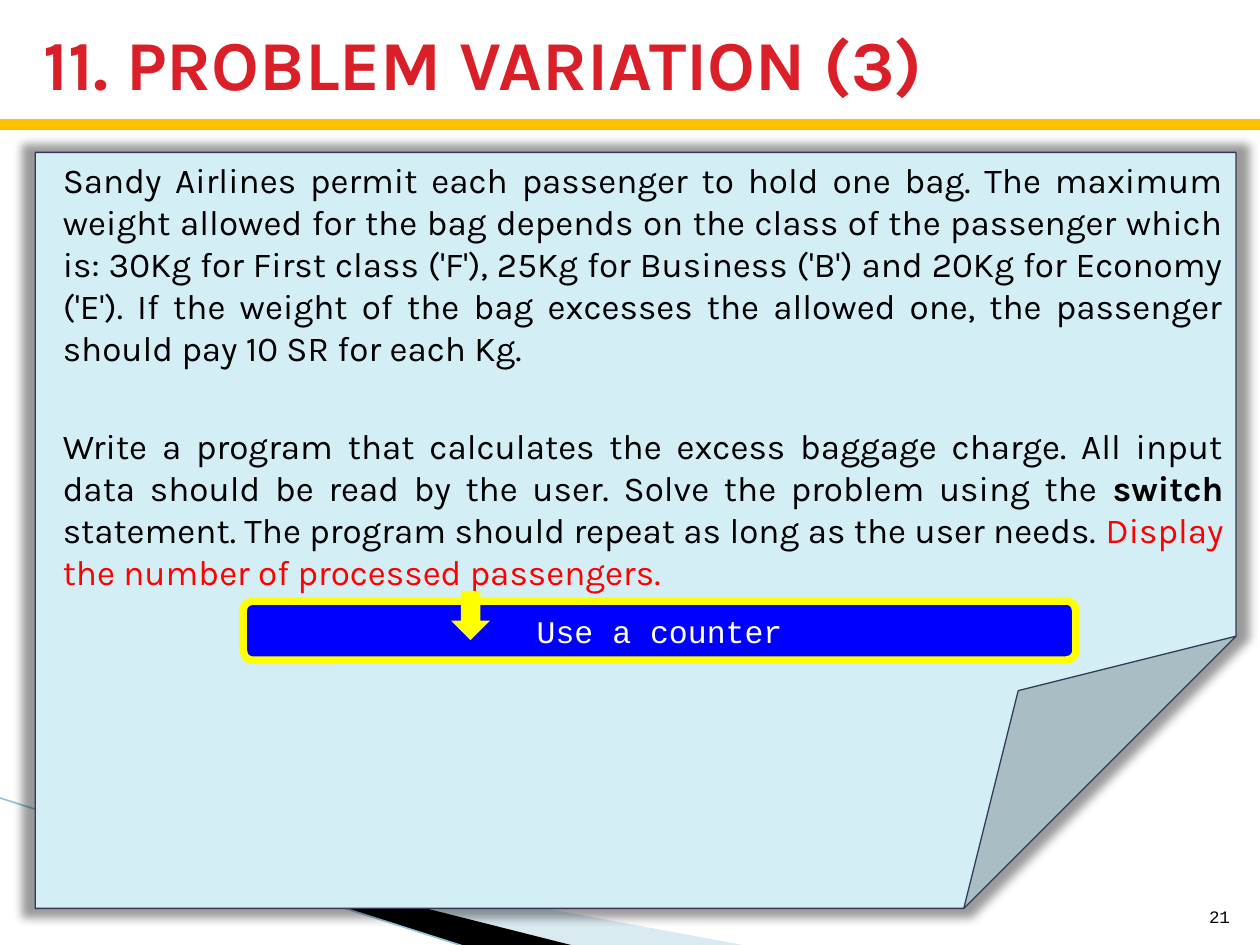
from lxml import etree
from pptx import Presentation
from pptx.dml.color import RGBColor
from pptx.enum.shapes import MSO_CONNECTOR as CONN, MSO_SHAPE as SHAPE
from pptx.enum.text import MSO_ANCHOR as ANCHOR, PP_ALIGN as ALIGN
from pptx.oxml.ns import qn
from pptx.util import Inches, Pt

BODY_FONT, CODE_FONT = "Karla", "Courier New"


def rgb(hex_color):
    return RGBColor.from_string(hex_color)


def style(sp, fill, line=None, width=0):
    sp.shadow.inherit = False
    sp.fill.solid()
    sp.fill.fore_color.rgb = rgb(fill)
    if line:
        sp.line.color.rgb = rgb(line)
        sp.line.width = Pt(width)
    else:
        sp.line.fill.background()
    return sp


def add_shape(s, kind, box, fill, line=None, width=0):
    sp = s.shapes.add_shape(kind, *map(Inches, box))
    return style(sp, fill, line, width)


def add_wedge(s, points, fill, alpha=None):
    pts = [(Inches(x), Inches(y)) for x, y in points]
    builder = s.shapes.build_freeform(*pts[0], scale=1.0)
    builder.add_line_segments(pts[1:], close=True)
    sp = style(builder.convert_to_shape(), fill)
    if alpha:
        clr = sp._element.spPr.find(qn("a:solidFill"))[0]
        etree.SubElement(clr, qn("a:alpha"), val=str(alpha * 1000))


def add_line(s, start, end, color, width):
    c = s.shapes.add_connector(CONN.STRAIGHT, *map(Inches, start + end))
    c.line.color.rgb = rgb(color)
    c.line.width = Pt(width)
    etree.SubElement(c._element.spPr, qn("a:effectLst"))


def set_fold(sp, share):
    # The library lists no adjustment for the folded corner
    geom = sp._element.spPr.find(qn("a:prstGeom"))
    guides = geom.find(qn("a:avLst"))
    if guides is None:
        guides = etree.SubElement(geom, qn("a:avLst"))
    etree.SubElement(guides, qn("a:gd"), name="adj", fmla=f"val {round(share * 100000)}")


def add_glow_shadow(sp, color, alpha, blur, scale):
    effects = sp._element.spPr.find(qn("a:effectLst"))
    size = str(scale * 1000)
    shadow = etree.SubElement(effects, qn("a:outerShdw"), blurRad=str(Pt(blur)), sx=size,
                              sy=size, algn="ctr", rotWithShape="0")
    clr = etree.SubElement(shadow, qn("a:srgbClr"), val=color)
    etree.SubElement(clr, qn("a:alpha"), val=str(alpha * 1000))


def add_run(p, text, font=BODY_FONT, size=20, color="000000", bold=False):
    r = p.add_run()
    r.text = text
    r.font.name, r.font.size, r.font.bold = font, Pt(size), bold
    r.font.color.rgb = rgb(color)


def frame(sp, anchor):
    tf = sp.text_frame
    tf.word_wrap = True
    tf.vertical_anchor = anchor
    return tf


def set_text(sp, text, anchor=ANCHOR.MIDDLE, align=ALIGN.LEFT, **fmt):
    p = frame(sp, anchor).paragraphs[0]
    p.alignment = align
    add_run(p, text, **fmt)


def add_text(s, box, text, **kwargs):
    set_text(s.shapes.add_textbox(*map(Inches, box)), text, **kwargs)


def add_problem_note(s):
    sp = add_shape(s, SHAPE.FOLDED_CORNER, (0.28, 1.21, 9.53, 6), "D3EEF5", "35385A", 0.75)
    set_fold(sp, 0.36)
    add_glow_shadow(sp, "000000", alpha=40, blur=5, scale=102)
    tf = frame(sp, ANCHOR.TOP)
    rules, task = tf.paragraphs[0], tf.add_paragraph()
    for p in (rules, task):
        p.alignment = ALIGN.JUSTIFY
        p._p.get_or_add_pPr().set("marL", str(Inches(0.12)))
    task.space_before = Pt(32)
    add_run(rules, "Sandy Airlines permit each passenger to hold one bag. The maximum weight "
            "allowed for the bag depends on the class of the passenger which is: 30Kg for "
            "First class ('F'), 25Kg for Business ('B') and 20Kg for Economy ('E'). If the "
            "weight of the bag excesses the allowed one, the passenger should pay 10 SR for "
            "each Kg.")
    add_run(task, "Write a program that calculates the excess baggage charge. All input data "
            "should be read by the user. Solve the problem using the ")
    add_run(task, "switch", bold=True)
    add_run(task, " statement. The program should repeat as long as the user needs. ")
    add_run(task, "Display the number of processed passengers.", color="FF0000")


def main():
    prs = Presentation()
    prs.slide_width, prs.slide_height = Inches(10), Inches(7.5)
    s = prs.slides.add_slide(prs.slide_layouts[6])

    # Corner decoration
    add_wedge(s, [(0.55, 6.51), (5.95, 7.51), (4.56, 7.51), (0.55, 6.5)], "A0CBDC", alpha=40)
    add_wedge(s, [(0.53, 6.49), (4.57, 7.51), (3.72, 7.52), (0.54, 6.5)], "000000")
    add_line(s, (-0.01, 6.33), (3.71, 7.52), "97C5D8", 0.95)

    # Title, rule and page number
    add_line(s, (0, 0.99), (10, 0.99), "FFC000", 6)
    add_text(s, (0.25, 0.17, 8.5, 0.65), "11. PROBLEM VARIATION (3)",
             size=40, color="DA1F28", bold=True)
    add_text(s, (9.46, 7.01, 0.4, 0.4), "21", anchor=ANCHOR.BOTTOM, align=ALIGN.RIGHT,
             font=CODE_FONT, size=10)

    # Problem statement
    add_problem_note(s)

    # Hint with its arrow
    hint = add_shape(s, SHAPE.ROUNDED_RECTANGLE, (1.93, 4.77, 6.61, 0.47),
                     "0000FF", "FFFF00", 4.33)
    set_text(hint, "Use a counter", align=ALIGN.CENTER, font=CODE_FONT, size=18, color="FFFFFF")
    add_shape(s, SHAPE.DOWN_ARROW, (3.58, 4.69, 0.31, 0.39), "FFFF00")

    prs.save("out.pptx")


if __name__ == "__main__":
    main()
